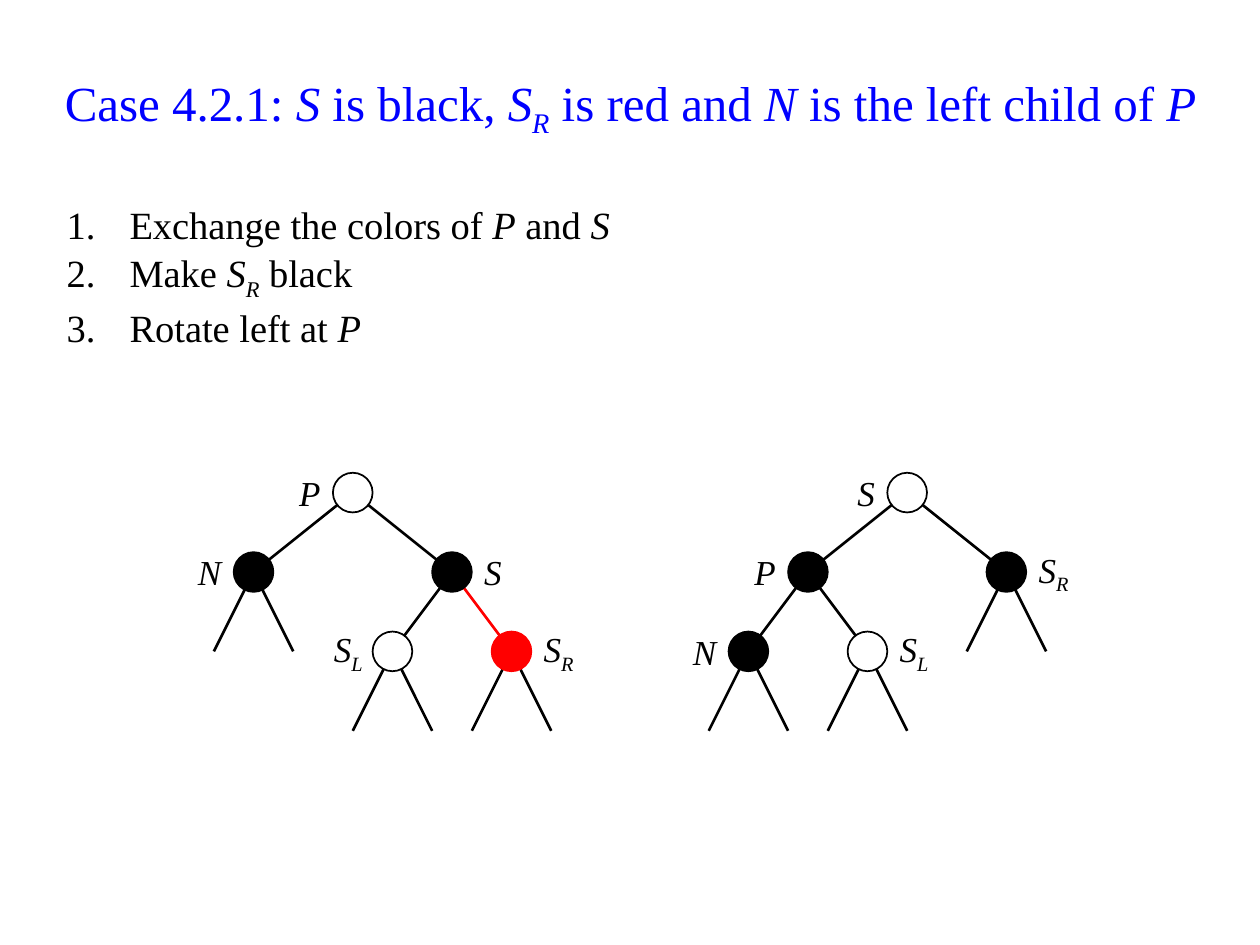
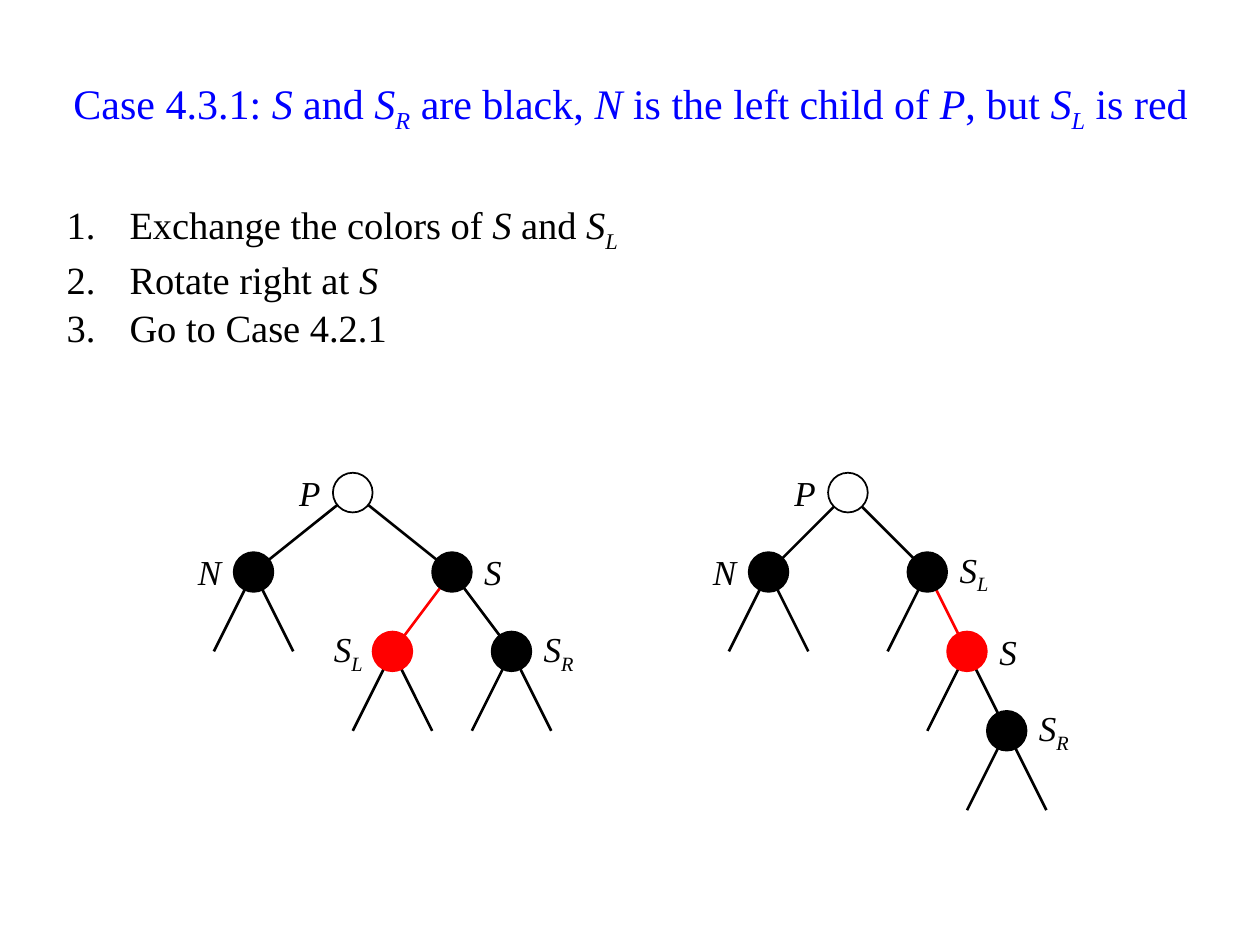
from collections import namedtuple
from pptx import Presentation
from pptx.dml.color import RGBColor
from pptx.enum.shapes import MSO_CONNECTOR, MSO_SHAPE
from pptx.enum.text import MSO_ANCHOR, MSO_AUTO_SIZE, PP_ALIGN
from pptx.oxml.ns import qn
from pptx.util import Inches, Pt
from lxml.etree import SubElement

BLACK = RGBColor(0, 0, 0)
WHITE = RGBColor(255, 255, 255)
RED = RGBColor(255, 0, 0)
BLUE = RGBColor(0, 0, 255)
FONT = "Times New Roman"
LEVEL = 0.63
ROOT_Y = 3.91

Node = namedtuple("Node", "name fill side spread left right", defaults=(0.5, None, None))


class Deck:
    def __init__(self):
        self.file = Presentation()
        self.file.slide_width = Inches(10)
        self.file.slide_height = Inches(7.5)
        self.slide = None

    def words(self, para, text, size, color):
        para.font.name = FONT
        para.font.size = Pt(size)
        para.font.color.rgb = color
        for i, part in enumerate(text.split("*")):
            for j, piece in enumerate(part.split("_")):
                if piece:
                    run = para.add_run()
                    run.text = piece
                    if i % 2:
                        run.font.italic = True
                    if j:
                        run.font._element.set("baseline", "-25000")

    def start(self, text, size):
        self.slide = self.file.slides.add_slide(self.file.slide_layouts[5])
        title = self.slide.shapes.title
        title.left, title.top = Inches(0.28), Inches(0.29)
        title.width, title.height = Inches(9.45), Inches(1.1)
        frame = title.text_frame
        frame.auto_size = MSO_AUTO_SIZE.NONE
        frame.vertical_anchor = MSO_ANCHOR.MIDDLE
        para = frame.paragraphs[0]
        para.alignment = PP_ALIGN.CENTER
        self.words(para, text, size, BLUE)

    def box(self, left, top, width, height):
        shape = self.slide.shapes.add_textbox(
            Inches(left), Inches(top), Inches(width), Inches(height))
        shape.text_frame.word_wrap = True
        return shape.text_frame

    def steps(self, items):
        frame = self.box(0.43, 1.55, 9.13, 1.26)
        for i, item in enumerate(items):
            para = frame.add_paragraph() if i else frame.paragraphs[0]
            para.space_before = Pt(1)
            self.words(para, item, 22, BLACK)
            props = para._p.get_or_add_pPr()
            props.set("marL", str(Inches(0.5)))
            props.set("indent", str(-Inches(0.5)))
            bullet = props.makeelement(qn("a:buAutoNum"), {"type": "arabicPeriod"})
            props.find(qn("a:defRPr")).addprevious(bullet)

    def edge(self, x, y, x2, y2, color):
        line = self.slide.shapes.add_connector(
            MSO_CONNECTOR.STRAIGHT, Inches(x), Inches(y), Inches(x2), Inches(y2))
        line.line.color.rgb = color
        line.line.width = Pt(1.5)
        SubElement(line._element.spPr, qn("a:effectLst"))

    def label(self, node, x, y):
        on_left = node.side == "left"
        left = x - LEVEL if on_left else x + LEVEL / 4
        frame = self.box(left, y - LEVEL / 2, LEVEL * 0.75, LEVEL)
        frame.vertical_anchor = MSO_ANCHOR.MIDDLE
        if node.name.endswith("L"):
            frame.margin_right = Inches(0.08)
        para = frame.paragraphs[0]
        para.alignment = PP_ALIGN.RIGHT if on_left else PP_ALIGN.LEFT
        self.words(para, f"*{node.name}*", 20, BLACK)

    def circle(self, node, x, y):
        size = LEVEL / 2
        dot = self.slide.shapes.add_shape(
            MSO_SHAPE.OVAL, Inches(x - size / 2), Inches(y - size / 2),
            Inches(size), Inches(size))
        dot.shadow.inherit = False
        dot.fill.solid()
        dot.fill.fore_color.rgb = node.fill
        dot.line.color.rgb = RED if node.fill == RED else BLACK
        dot.line.width = Pt(1)

    def tree(self, node, x, y=ROOT_Y):
        for child, sign in ((node.left, -1), (node.right, 1)):
            x2, y2 = x + sign * node.spread * LEVEL, y + LEVEL
            color = RED if child and child.fill == RED else BLACK
            self.edge(x, y, x2, y2, color)
            if child:
                self.tree(child, x2, y2)
        self.circle(node, x, y)
        self.label(node, x, y)


def before(low, high):
    kids = Node("S_L", low, "left"), Node("S_R", high, "right")
    return Node("P", WHITE, "left", 1.25, Node("N", BLACK, "left"),
                Node("S", BLACK, "right", 0.75, *kids))


deck = Deck()

deck.start("Case 4.2.1: *S* is black, *S_R* is red and *N* is the left child of *P*", 28)
deck.steps(["Exchange the colors of *P* and *S*", "Make *S_R* black", "Rotate left at *P*"])
deck.tree(before(WHITE, RED), 2.8)
turned = Node("P", BLACK, "left", 0.75,
              Node("N", BLACK, "left"), Node("S_L", WHITE, "right"))
deck.tree(Node("S", WHITE, "left", 1.25, turned, Node("S_R", BLACK, "right")), 7.2)

deck.start("Case 4.3.1: *S* and *S_R* are black, *N* is the left child of *P*, "
           "but *S_L* is red", 24)
deck.steps(["Exchange the colors of *S* and *S_L*", "Rotate right at *S*", "Go to Case 4.2.1"])
deck.tree(before(RED, BLACK), 2.8)
lower = Node("S", RED, "right", 0.5, None, Node("S_R", BLACK, "right"))
upper = Node("S_L", BLACK, "right", 0.5, None, lower)
deck.tree(Node("P", WHITE, "left", 1, Node("N", BLACK, "left"), upper), 6.73)

deck.file.save("out.pptx")
